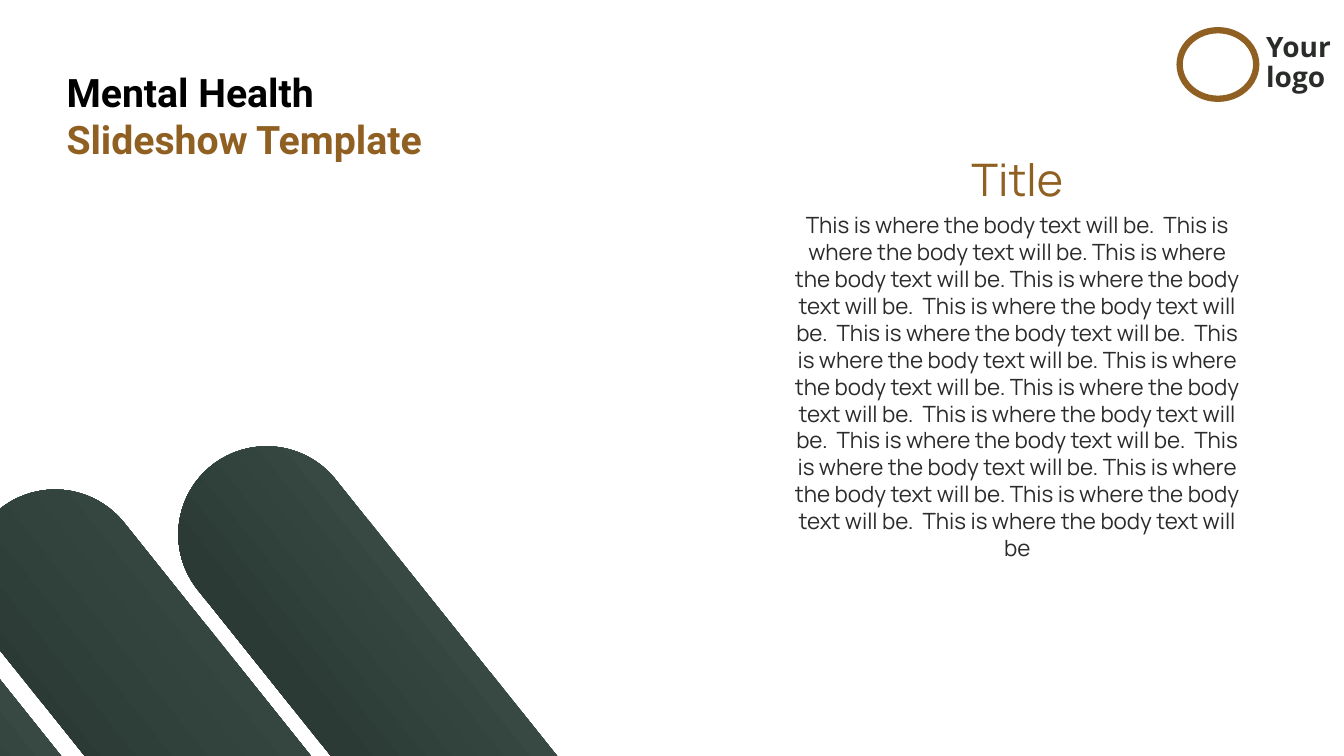
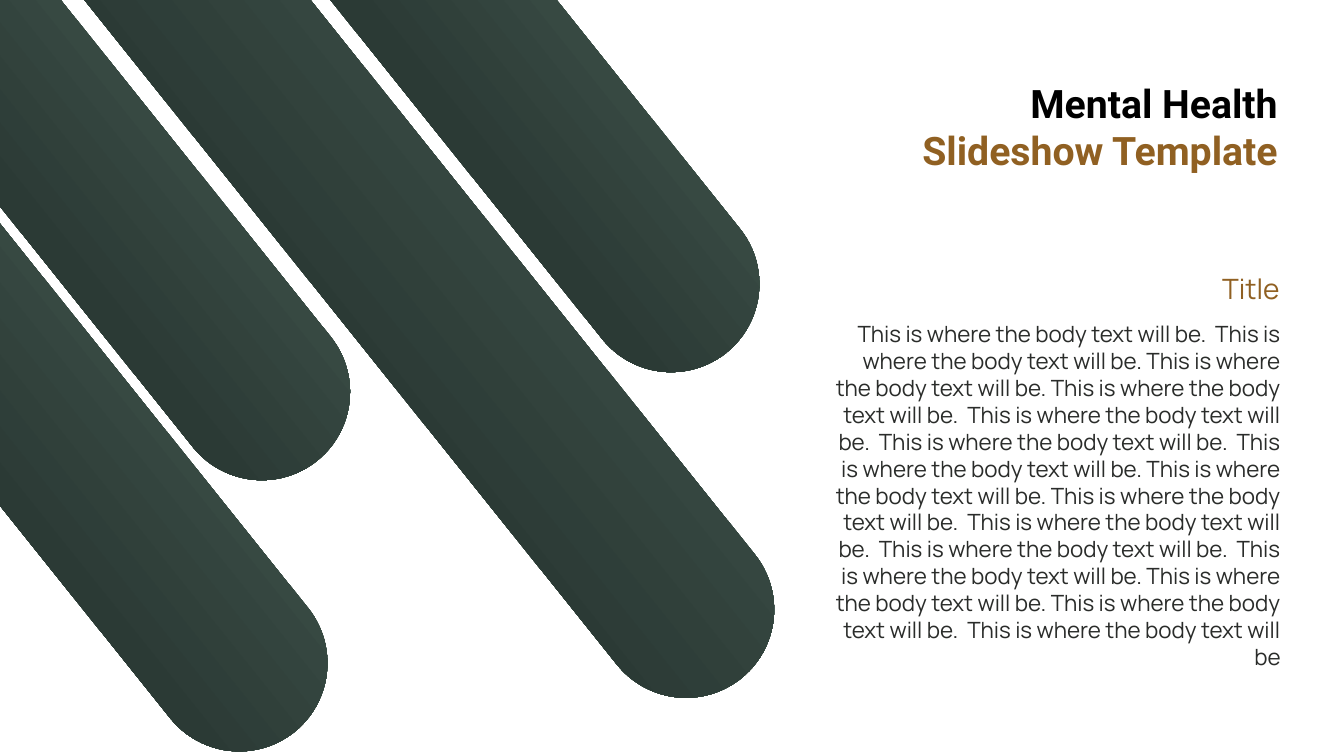
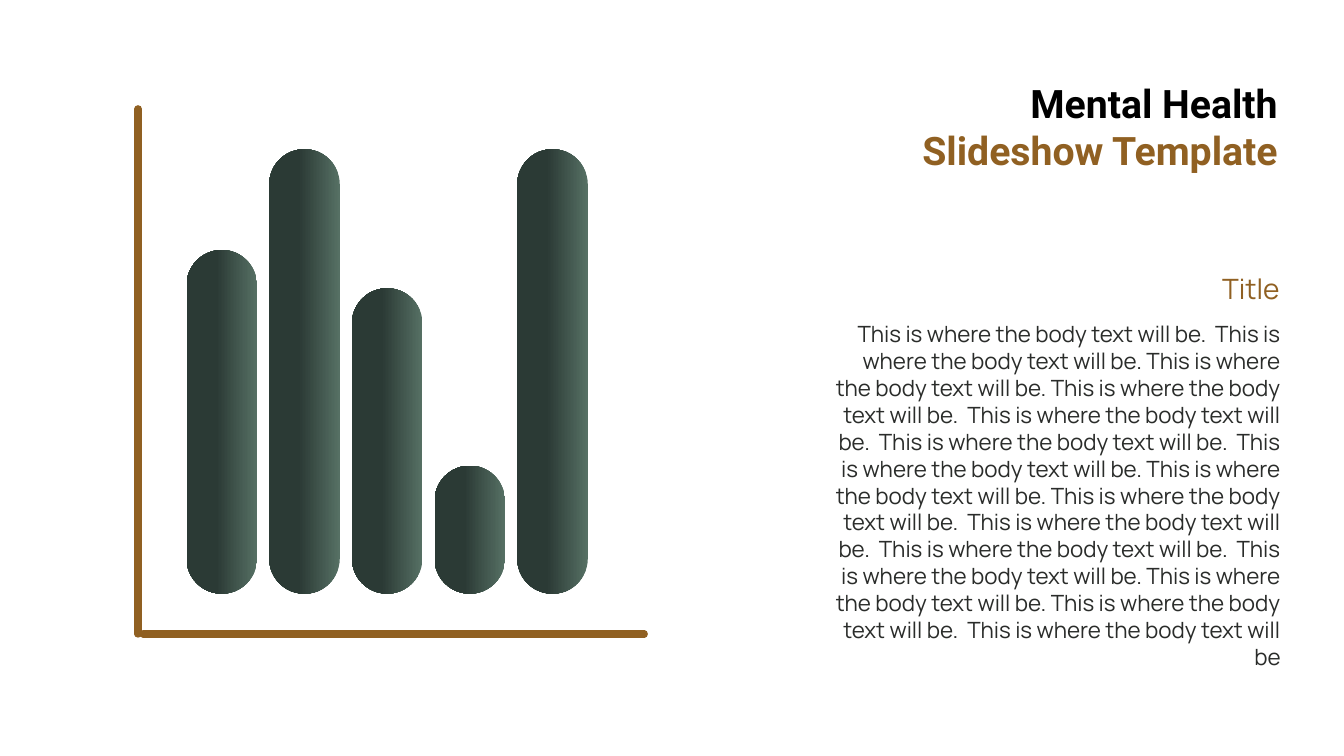
"""Build three mental health slides with capsule artwork, a bar figure and body text."""
import copy

import pptx
import pptx.dml.color
import pptx.enum.shapes
import pptx.enum.text
import pptx.oxml.ns
import pptx.oxml.xmlchemy
import pptx.util

Inches = pptx.util.Inches
colour = pptx.dml.color.RGBColor.from_string
Align = pptx.enum.text.PP_ALIGN
Shape = pptx.enum.shapes.MSO_SHAPE
qn = pptx.oxml.ns.qn

BROWN = "906022"
BLACK = "000000"
INK = "2A2C2A"
GREENS = [(0, "567064"), (0.58, "2B3A35"), (1, "2D3834")]
SENTENCE = "This is where the body text will be"
SENTENCE_GROUP = f"{SENTENCE}.  {SENTENCE}. {SENTENCE}. {SENTENCE}.  {SENTENCE}"
BODY = ".  ".join([SENTENCE_GROUP] * 3)


def write(box, place, runs, size, font, align, bold=False):
    """Place a box and fill its paragraph run by run."""
    box.left, box.top, box.width, box.height = [Inches(length) for length in place]
    frame = box.text_frame
    frame.word_wrap = True
    frame.auto_size = pptx.enum.text.MSO_AUTO_SIZE.NONE
    frame.vertical_anchor = pptx.enum.text.MSO_ANCHOR.TOP
    para = frame.paragraphs[0]
    para.alignment = align
    for text, hue in runs:
        span = para.add_run()
        span.text = text
        span.font.size = pptx.util.Pt(size)
        span.font.name = font
        span.font.bold = bold
        span.font.color.rgb = colour(hue)
    return frame


def add_capsule(page, left, top, length, thickness, angle):
    """Add a rotated, fully rounded bar with the green gradient."""
    capsule = page.shapes.add_shape(
        Shape.ROUNDED_RECTANGLE, Inches(left), Inches(top), Inches(length), Inches(thickness))
    capsule.adjustments[0] = 0.5
    capsule.rotation = angle
    capsule.shadow.inherit = False
    capsule.line.fill.background()
    capsule.fill.gradient()
    capsule.fill.gradient_angle = 270
    stop_list = capsule._element.spPr.find(qn("a:gradFill")).find(qn("a:gsLst"))
    stop_list.append(copy.deepcopy(stop_list[0]))
    for stop, (position, hue) in zip(capsule.fill.gradient_stops, GREENS):
        stop.position = position
        stop.color.rgb = colour(hue)


deck = pptx.Presentation()
deck.slide_width = Inches(13.33)
deck.slide_height = Inches(7.5)

layouts = [
    ((0.56, 0.63), Align.LEFT, (7.77, 2.05), (9.25, 1.46, 1.68, 0.64), 32, Align.CENTER),
    ((8.48, 0.74), Align.RIGHT, (8.16, 3.13), (11.11, 2.64, 1.68, 0.44), 20, Align.RIGHT),
    ((8.48, 0.74), Align.RIGHT, (8.16, 3.13), (11.11, 2.64, 1.68, 0.44), 20, Align.RIGHT),
]
pages = []
for title_at, title_align, body_at, heading_place, heading_size, body_align in layouts:
    page = deck.slides.add_slide(deck.slide_layouts[5])
    pages.append(page)
    write(page.shapes.title, (*title_at, 4.29, 1.51),
          [("Mental Health ", BLACK), ("Slideshow Template", BROWN)],
          28, "Roboto", title_align, True)
    body = page.shapes.add_textbox(0, 0, 0, 0)
    write(body, (*body_at, 4.64, 4.14), [(BODY, INK)], 16, "Manrope", body_align)
    heading = page.shapes.add_textbox(0, 0, 0, 0)
    write(heading, heading_place, [("Title", BROWN)], heading_size, "Manrope", body_align)

diagonals = [(-4.28, 2.93, 8.86), (-3.43, 0.54, 8.09), (-1.97, 1.38, 11.47), (0.8, -0.45, 7.88)]
for page, shift_x, shift_y in [(pages[0], -0.18, 7.27), (pages[1], 0, 0)]:
    for left, top, length in diagonals:
        add_capsule(page, left + shift_x, top + shift_y, length, 1.75, 51.3)

emblem = pages[0].shapes.add_shape(
    Shape.OVAL, Inches(11.7), Inches(0.3), Inches(0.76), Inches(0.68))
emblem.shadow.inherit = False
emblem.fill.background()
emblem.line.color.rgb = colour(BROWN)
emblem.line.width = pptx.util.Pt(4.5)
emblem_label = pages[0].shapes.add_textbox(0, 0, 0, 0)
label_frame = write(emblem_label, (12.46, 0.28, 0.87, 0.78), [("Your logo", INK)],
                    20, "Open Sans", Align.LEFT, True)
label_frame.margin_right = 0
label_frame.paragraphs[0].line_spacing = 0.9

bar_width, bar_pitch, first_centre, baseline = 0.7, 0.82, 2.2, 5.89
for index, height in enumerate([3.41, 4.41, 3.03, 1.27, 4.41]):
    centre = first_centre + index * bar_pitch
    add_capsule(pages[2], centre - height / 2, baseline - height / 2 - bar_width / 2,
                height, bar_width, 90)

for start_x, start_y, end_x, end_y in [(1.42, 6.29, 6.39, 6.29), (1.37, 6.29, 1.37, 1.08)]:
    axis = pages[2].shapes.add_connector(
        pptx.enum.shapes.MSO_CONNECTOR.STRAIGHT,
        Inches(start_x), Inches(start_y), Inches(end_x), Inches(end_y))
    axis.line.color.rgb = colour(BROWN)
    axis.line.width = pptx.util.Pt(5.25)
    properties = axis._element.spPr
    properties.find(qn("a:ln")).set("cap", "rnd")
    properties.append(pptx.oxml.xmlchemy.OxmlElement("a:effectLst"))

deck.save("out.pptx")
